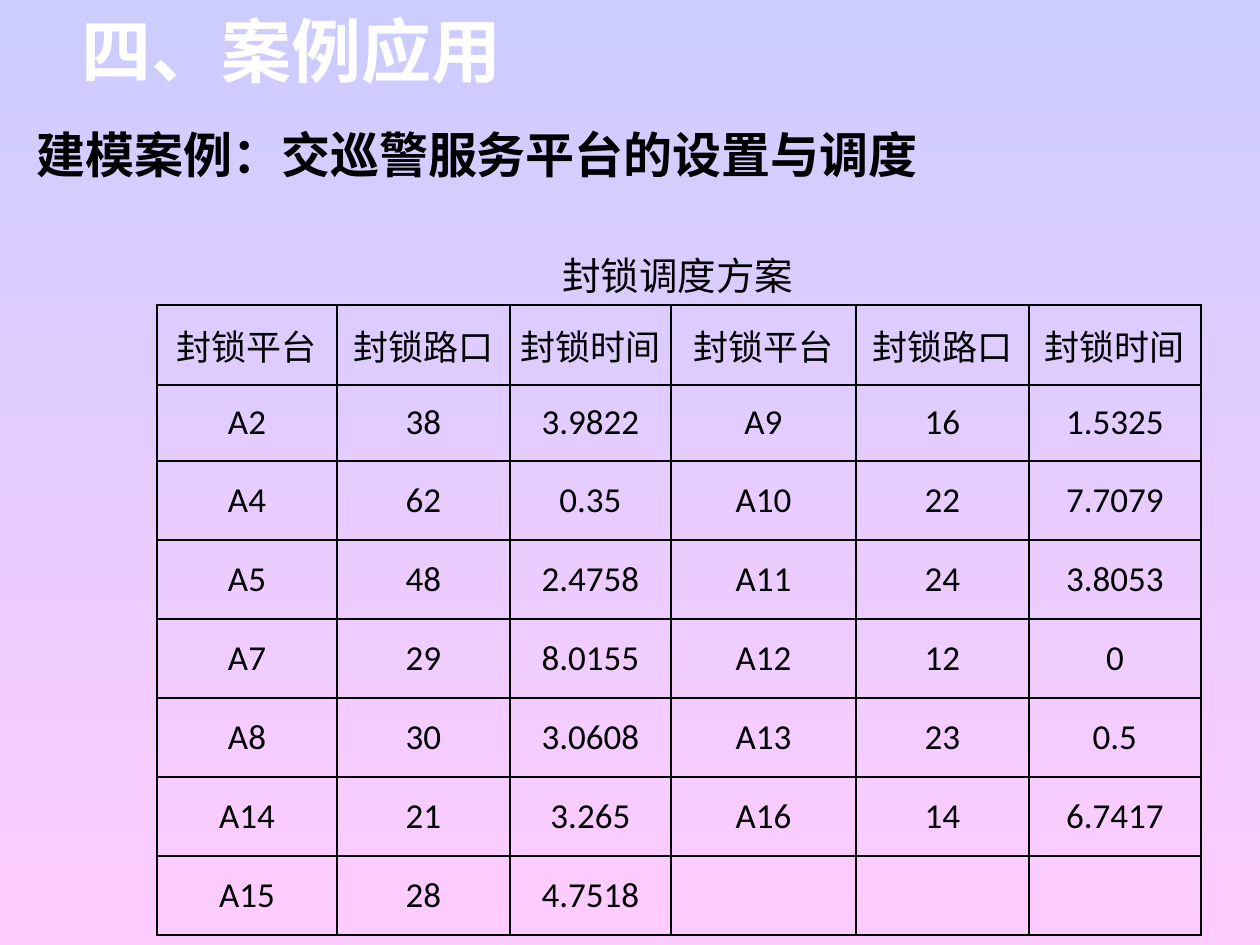
from dataclasses import dataclass

from lxml.etree import SubElement
from pptx import Presentation
from pptx.dml.color import RGBColor
from pptx.enum.text import MSO_ANCHOR, PP_ALIGN
from pptx.oxml.ns import qn
from pptx.util import Pt

PX = 914400 / 126


@dataclass(frozen=True)
class Theme:
    top: str = "CCCCFF"
    base: str = "FFCCFF"
    ink: str = "000000"
    light: str = "FFFFFF"
    cjk: str = "Noto Sans CJK SC"
    serif: str = "Times New Roman"
    sans: str = "Calibri"
    title: int = 40
    topic: int = 28
    label: int = 22
    cell: int = 20
    thin: float = 1
    thick: float = 1.5


THEME = Theme()

COLS = [180, 173, 161, 185, 173, 172]
ROWS = [80, 76] + [79] * 6
HEAD = ["封锁平台", "封锁路口", "封锁时间"] * 2
DATA = [
    ["A2", "38", "3.9822", "A9", "16", "1.5325"],
    ["A4", "62", "0.35", "A10", "22", "7.7079"],
    ["A5", "48", "2.4758", "A11", "24", "3.8053"],
    ["A7", "29", "8.0155", "A12", "12", "0"],
    ["A8", "30", "3.0608", "A13", "23", "0.5"],
    ["A14", "21", "3.265", "A16", "14", "6.7417"],
    ["A15", "28", "4.7518", "", "", ""],
]


def px(n):
    return round(n * PX)


def apply(item, form):
    for key, value in form.items():
        setattr(item, key, value)


def write(para, text, face, size, ink=THEME.ink, bold=False):
    run = para.add_run()
    run.text = text
    apply(run.font, {"name": face, "size": Pt(size), "bold": bold})
    run.font.color.rgb = RGBColor.from_string(ink)
    # Chinese glyphs take their own face
    SubElement(run.font._element, qn("a:ea"), typeface=THEME.cjk)


def paint(slide):
    fill = slide.background.fill
    fill.gradient()
    fill.gradient_angle = 270
    for stop, color, place in zip(fill.gradient_stops, (THEME.top, THEME.base), (0, 1)):
        stop.color.rgb = RGBColor.from_string(color)
        stop.position = place


def add_title(slide, text, box):
    shape = slide.shapes.title
    apply(shape, dict(zip(("left", "top", "width", "height"), map(px, box))))
    apply(shape.text_frame, {"vertical_anchor": MSO_ANCHOR.TOP, "word_wrap": True})
    para = shape.text_frame.paragraphs[0]
    para.alignment = PP_ALIGN.LEFT
    write(para, text, THEME.cjk, THEME.title, THEME.light, True)


def add_text(slide, text, box, size, align, anchor, bold=False):
    frame = slide.shapes.add_textbox(*map(px, box)).text_frame
    apply(frame, {"word_wrap": False, "vertical_anchor": anchor})
    para = frame.paragraphs[0]
    para.alignment = align
    write(para, text, THEME.serif, size, bold=bold)


def add_edges(cell, col):
    # A heavier rule closes each group of three columns
    wide = {"L": col == 3, "R": col % 3 == 2}
    props = cell._tc.get_or_add_tcPr()
    for side in "LRTB":
        width = THEME.thick if wide.get(side) else THEME.thin
        line = SubElement(props, qn(f"a:ln{side}"), w=str(Pt(width)))
        SubElement(SubElement(line, qn("a:solidFill")), qn("a:srgbClr"), val=THEME.ink)


def add_grid(slide, left, top):
    rows = [HEAD] + DATA
    size = px(sum(COLS)), px(sum(ROWS))
    table = slide.shapes.add_table(len(rows), len(COLS), px(left), px(top), *size).table
    apply(table, {"first_row": False, "horz_banding": False})
    for col, width in zip(table.columns, COLS):
        col.width = px(width)
    for row, height in zip(table.rows, ROWS):
        row.height = px(height)
    for r, row in enumerate(rows):
        for c, text in enumerate(row):
            cell = table.cell(r, c)
            side = px(9) if r else 0
            apply(cell, {"vertical_anchor": MSO_ANCHOR.MIDDLE, "margin_left": side,
                         "margin_right": side, "margin_top": 0, "margin_bottom": 0})
            add_edges(cell, c)
            cell.fill.background()
            if text:
                para = cell.text_frame.paragraphs[0]
                apply(para, {"alignment": PP_ALIGN.CENTER,
                             "space_before": Pt(1.2), "space_after": Pt(1.2)})
                write(para, text, THEME.sans, THEME.cell)


def main():
    deck = Presentation()
    apply(deck, {"slide_width": px(1260), "slide_height": px(945)})
    slide = deck.slides.add_slide(deck.slide_layouts[5])
    paint(slide)

    # Headings
    add_text(slide, "建模案例：交巡警服务平台的设置与调度", (0, 118, 954, 72),
             THEME.topic, PP_ALIGN.CENTER, MSO_ANCHOR.MIDDLE, True)
    add_title(slide, "四、案例应用", (69, 1, 1081, 97))

    # Schedule and its caption
    add_grid(slide, 157, 305)
    add_text(slide, "封锁调度方案", (550, 246, 258, 59),
             THEME.label, PP_ALIGN.LEFT, MSO_ANCHOR.TOP)
    deck.save("out.pptx")


if __name__ == "__main__":
    main()
